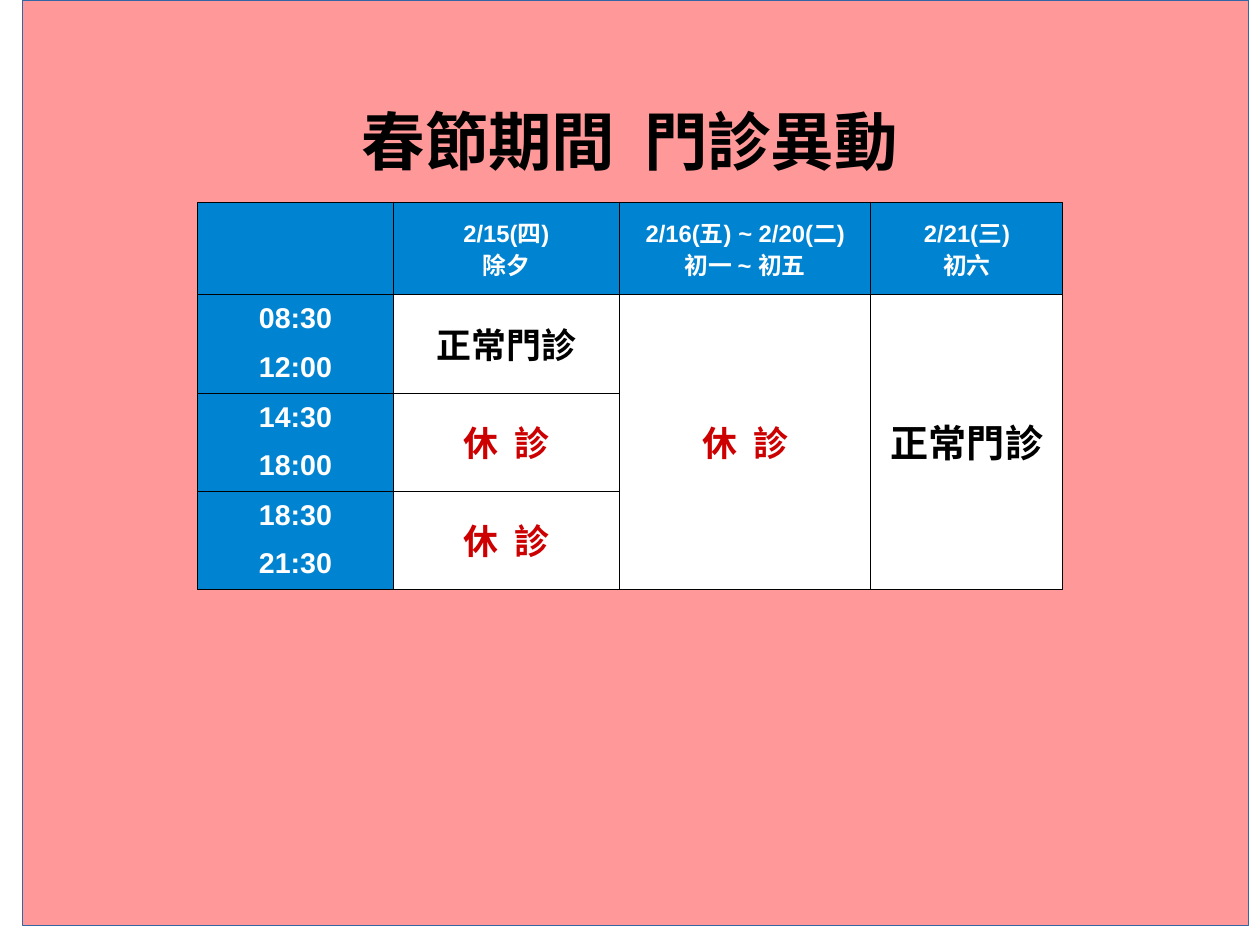
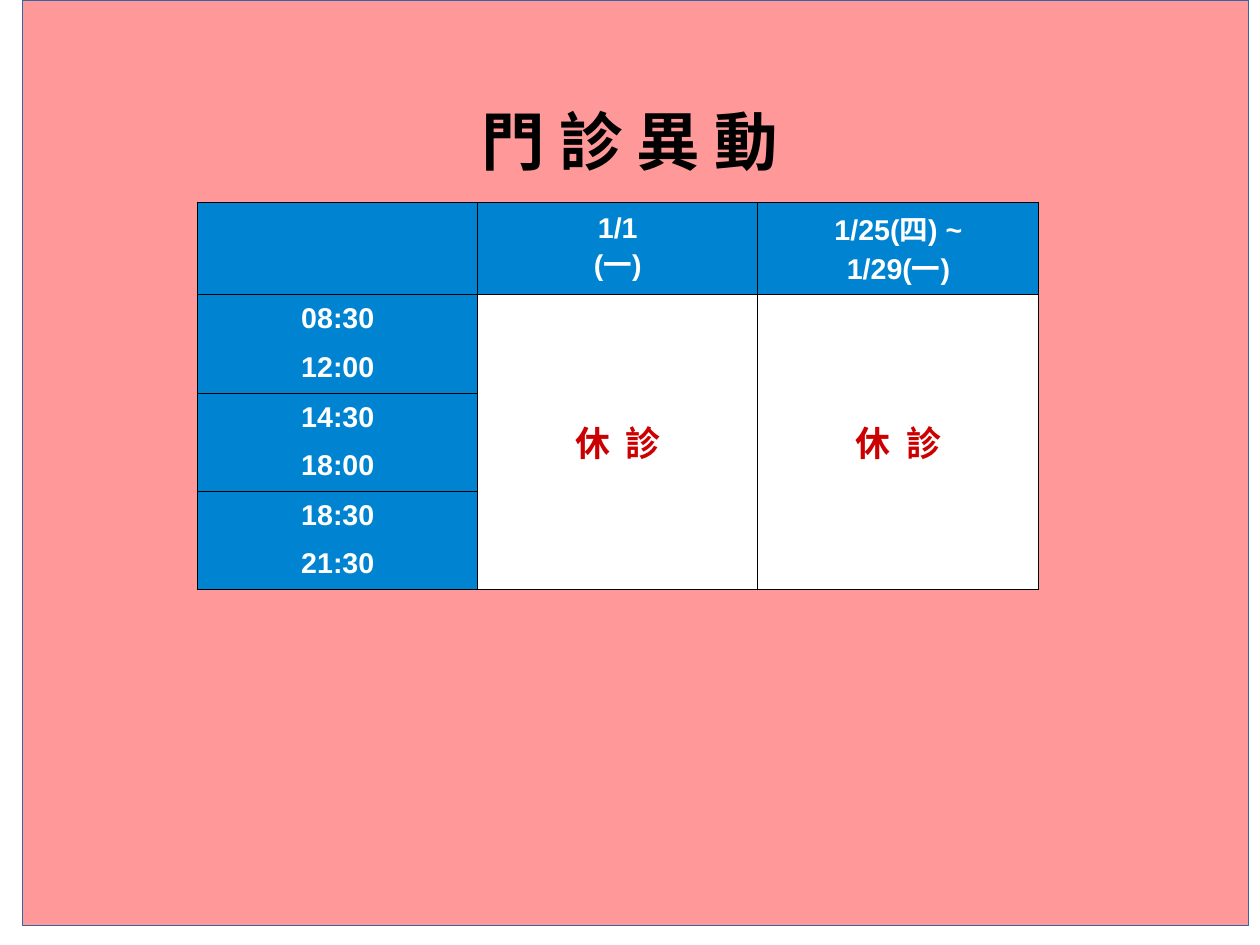
from lxml import etree
from pptx import Presentation, util as u
from pptx.dml.color import RGBColor
from pptx.enum import shapes, text
from pptx.oxml.ns import qn

PINK, BLUE, WHITE, BLACK, RED = "FF9999", "0084D1", "FFFFFF", "000000", "CC0000"
OUTLINE = "3465A4"
SLIDE_WIDTH, SLIDE_HEIGHT = u.Cm(28), u.Cm(21)
PANEL_BOX = (0.2, 0, 10.72, 8.1)
TITLE_BOX = (1.73, 0.75, 7.56, 0.99)
TABLE_ORIGIN = (1.73, 1.77)
ROW_HEIGHTS = (0.81, 0.86, 0.86, 0.86)
BORDER_WIDTH = 0.68

TITLE = {"size": 40, "name": "Calibri", "color": BLACK, "spacing": 0.93, "gap": 0}
DATE = {"size": 18, "name": "Arial", "color": WHITE, "spacing": 0.94, "gap": 0}
OPEN_HOURS = {"size": 22, "name": "Calibri", "color": BLACK, "spacing": 0.93, "gap": 5.7}
STYLES = {
    "title": TITLE,
    "title_wide": {**TITLE, "tracking": 9},
    "date": DATE,
    "date_small": {**DATE, "size": 15},
    "hours": {**DATE, "gap": 5.7},
    "open": OPEN_HOURS,
    "open_large": {**OPEN_HOURS, "size": 24},
    "closed": {**OPEN_HOURS, "color": RED, "gap": 0, "tracking": 5},
}
HEADER_STYLES = ("date_small", "date", "hours")

HOURS = [(["08:30", "12:00"], "hours", 1),
         (["14:30", "18:00"], "hours", 1),
         (["18:30", "21:30"], "hours", 1)]
CLOSED = ["休 診"]
OPEN = ["正常門診"]
CORNER = ([], "date", 1)

NOTICES = [
    ("春節期間 門診異動", "title_wide", [
        (1.71, [CORNER, *HOURS]),
        (1.98, [(["2/15(四)", "除夕"], "date_small", 1), (OPEN, "open", 1),
                (CLOSED, "closed", 1), (CLOSED, "closed", 1)]),
        (2.2, [(["2/16(五) ~ 2/20(二)", "初一 ~ 初五"], "date_small", 1),
               (CLOSED, "closed", 3)]),
        (1.68, [(["2/21(三)", "初六"], "date_small", 1), (OPEN, "open_large", 3)]),
    ]),
    ("門 診 異 動", "title", [
        (2.45, [CORNER, *HOURS]),
        (2.45, [(["1/1", "(一)"], "date", 1), (CLOSED, "closed", 3)]),
        (2.46, [(["1/25(四) ~", "1/29(一)"], "date", 1), (CLOSED, "closed", 3)]),
    ]),
]


def rgb(value):
    """Turn a hex string into a colour."""
    return RGBColor.from_string(value)


def inches(*lengths):
    """Convert several lengths in inches."""
    return [u.Inches(length) for length in lengths]


def write_run(paragraph, words, style):
    """Add one run, widening it when it is a tracked space."""
    run = paragraph.add_run()
    run.text = words
    font = {"size": u.Pt(style["size"]), "name": style["name"], "bold": True}
    for key, value in font.items():
        setattr(run.font, key, value)
    run.font.color.rgb = rgb(style["color"])
    if words == " ":
        run._r.get_or_add_rPr().set("spc", str(style["tracking"] * 100))


def write_lines(frame, lines, style_name):
    """Write centred paragraphs in one of the named styles."""
    style = STYLES[style_name]
    for index, line in enumerate(lines):
        paragraph = frame.add_paragraph() if index else frame.paragraphs[0]
        layout = {"alignment": text.PP_ALIGN.CENTER, "line_spacing": style["spacing"],
                  "space_before": u.Pt(style["gap"]), "space_after": u.Pt(style["gap"])}
        for key, value in layout.items():
            setattr(paragraph, key, value)
        for words in line.partition(" ") if "tracking" in style else [line]:
            write_run(paragraph, words, style)


def add_panel(slide, box):
    """Lay the coloured panel behind the notice."""
    panel = slide.shapes.add_shape(shapes.MSO_SHAPE.RECTANGLE, *inches(*box))
    panel.shadow.inherit = False
    panel.fill.solid()
    panel.fill.fore_color.rgb = rgb(PINK)
    panel.line.color.rgb = rgb(OUTLINE)
    panel.line.width = u.Pt(0)


def add_title(slide, box, title, style_name):
    """Place the heading in its box."""
    frame = slide.shapes.add_textbox(*inches(*box)).text_frame
    settings = {"word_wrap": True, "vertical_anchor": text.MSO_ANCHOR.MIDDLE,
                "margin_left": 0, "margin_right": 0,
                "margin_top": u.Inches(0.04), "margin_bottom": 0}
    for key, value in settings.items():
        setattr(frame, key, value)
    write_lines(frame, [title], style_name)


def format_cell(cell, fill):
    """Give a cell its thin black borders and its fill."""
    properties = cell._tc.get_or_add_tcPr()
    for side in ("lnL", "lnR", "lnT", "lnB"):
        border = etree.SubElement(properties, qn(f"a:{side}"), w=str(u.Pt(BORDER_WIDTH)))
        solid = etree.SubElement(border, qn("a:solidFill"))
        etree.SubElement(solid, qn("a:srgbClr"), val=BLACK)
    cell.fill.solid()
    cell.fill.fore_color.rgb = rgb(fill)
    cell.vertical_anchor = text.MSO_ANCHOR.MIDDLE


def add_schedule(slide, origin, columns):
    """Build the timetable column by column, merging cells that span rows."""
    widths = [width for width, _ in columns]
    size = (sum(widths), sum(ROW_HEIGHTS))
    table = slide.shapes.add_table(len(ROW_HEIGHTS), len(columns),
                                   *inches(*origin, *size)).table
    for row, height in zip(table.rows, ROW_HEIGHTS):
        row.height = u.Inches(height)
    for column, (width, entries) in enumerate(columns):
        table.columns[column].width = u.Inches(width)
        top = 0
        for lines, style_name, span in entries:
            fill = BLUE if style_name in HEADER_STYLES else WHITE
            for row in range(top, top + span):
                format_cell(table.cell(row, column), fill)
            cell = table.cell(top, column)
            if span > 1:
                cell.merge(table.cell(top + span - 1, column))
            write_lines(cell.text_frame, lines, style_name)
            top += span


def add_notice(deck, title, title_style, columns):
    """Add one slide that announces changed clinic hours."""
    slide = deck.slides.add_slide(deck.slide_layouts[6])
    add_panel(slide, PANEL_BOX)
    add_title(slide, TITLE_BOX, title, title_style)
    add_schedule(slide, TABLE_ORIGIN, columns)


def main():
    """Build and save the notices."""
    deck = Presentation()
    deck.slide_width, deck.slide_height = SLIDE_WIDTH, SLIDE_HEIGHT
    for notice in NOTICES:
        add_notice(deck, *notice)
    deck.save("out.pptx")


if __name__ == "__main__":
    main()
